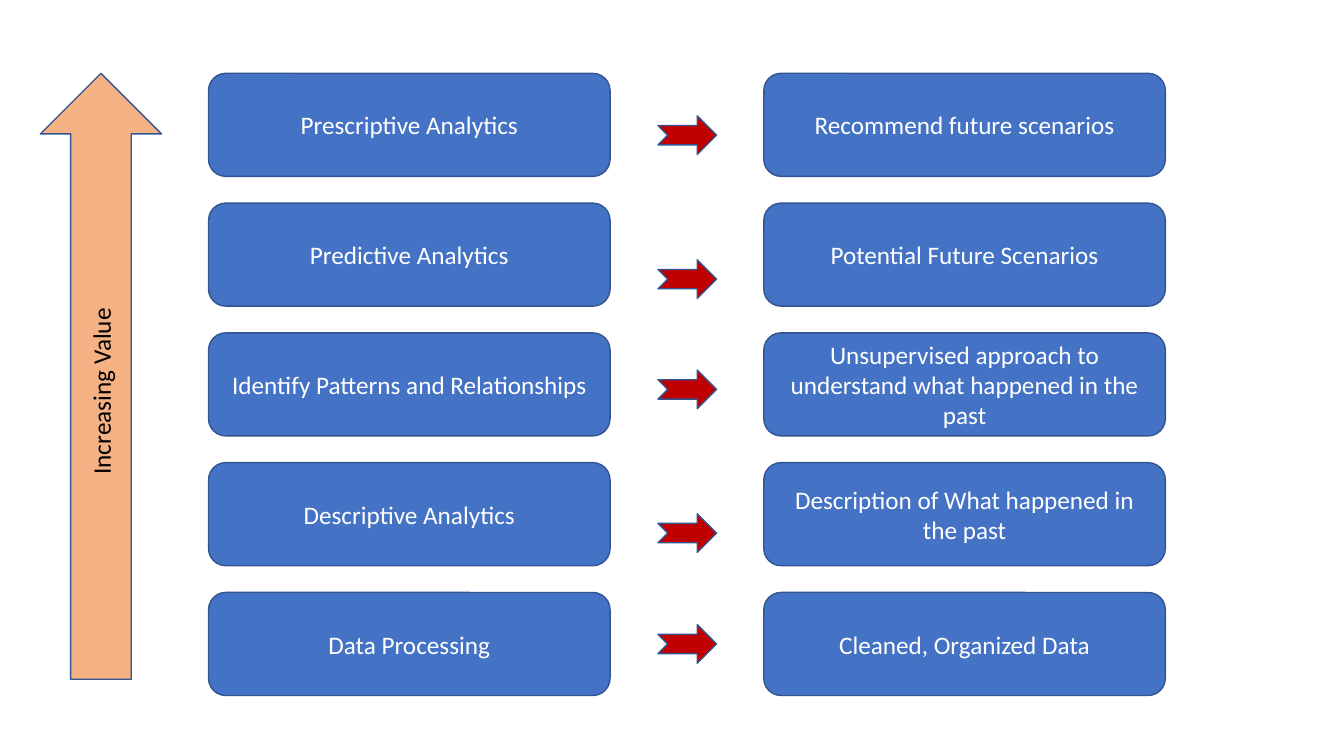
from pptx import Presentation
from pptx.dml.color import RGBColor
from pptx.enum import shapes, text
from pptx.util import Pt

COLORS = {
    "box": "4472C4",
    "outline": "325491",
    "step": "C00000",
    "value": "F4B183",
    "light": "FFFFFF",
    "dark": "000000",
}

# Analytics stage, its outcome, top of the arrow between them
STAGES = [
    ("Prescriptive Analytics", "Recommend future scenarios", 82.8),
    ("Predictive Analytics", "Potential Future Scenarios", 185.6),
    ("Identify Patterns and Relationships",
     "Unsupervised approach to understand what happened in the past", 264.4),
    ("Descriptive Analytics", "Description of What happened in the past", 367),
    ("Data Processing", "Cleaned, Organized Data", 446.2),
]
TOP = 52.4
ROW_PITCH = 92.7
STAGE_LEFT, ARROW_LEFT, OUTCOME_LEFT = 149, 470, 545.6


class Diagram:
    font_name = "Calibri"
    font_size = Pt(18)
    line_width = Pt(1)

    def __init__(self, page):
        self.page = page

    def shape(self, kind, left, top, width, height, fill):
        shape = self.page.shapes.add_shape(
            kind, Pt(left), Pt(top), Pt(width), Pt(height))
        shape.shadow.inherit = False
        shape.fill.solid()
        shape.fill.fore_color.rgb = RGBColor.from_string(COLORS[fill])
        shape.line.color.rgb = RGBColor.from_string(COLORS["outline"])
        shape.line.width = self.line_width
        return shape

    def label(self, shape, words, color):
        frame = shape.text_frame
        frame.word_wrap = True
        frame.vertical_anchor = text.MSO_ANCHOR.MIDDLE
        para = frame.paragraphs[0]
        para.text = words
        para.alignment = text.PP_ALIGN.CENTER
        para.font.name = self.font_name
        para.font.size = self.font_size
        para.font.color.rgb = RGBColor.from_string(COLORS[color])

    def box(self, left, top, words):
        box = self.shape(shapes.MSO_SHAPE.ROUNDED_RECTANGLE,
                         left, top, 286.8, 73.6, "box")
        self.label(box, words, "light")

    def step_arrow(self, left, top):
        self.shape(shapes.MSO_SHAPE.NOTCHED_RIGHT_ARROW,
                   left, top, 41.8, 27.6, "step")

    def value_arrow(self, left, top, words):
        """Tall upward arrow whose text reads from bottom to top."""
        arrow = self.shape(shapes.MSO_SHAPE.UP_ARROW,
                           left, top, 86.6, 432.8, "value")
        self.label(arrow, words, "dark")
        arrow.element.txBody.bodyPr.set("vert", "vert270")


def main():
    deck = Presentation()
    deck.slide_width, deck.slide_height = Pt(960), Pt(540)
    diagram = Diagram(deck.slides.add_slide(deck.slide_layouts[6]))

    for row, (stage, outcome, arrow_top) in enumerate(STAGES):
        top = TOP + row * ROW_PITCH
        diagram.box(STAGE_LEFT, top, stage)
        diagram.box(OUTCOME_LEFT, top, outcome)
        diagram.step_arrow(ARROW_LEFT, arrow_top)
    diagram.value_arrow(28.8, TOP, "Increasing Value")

    deck.save("out.pptx")


if __name__ == "__main__":
    main()
